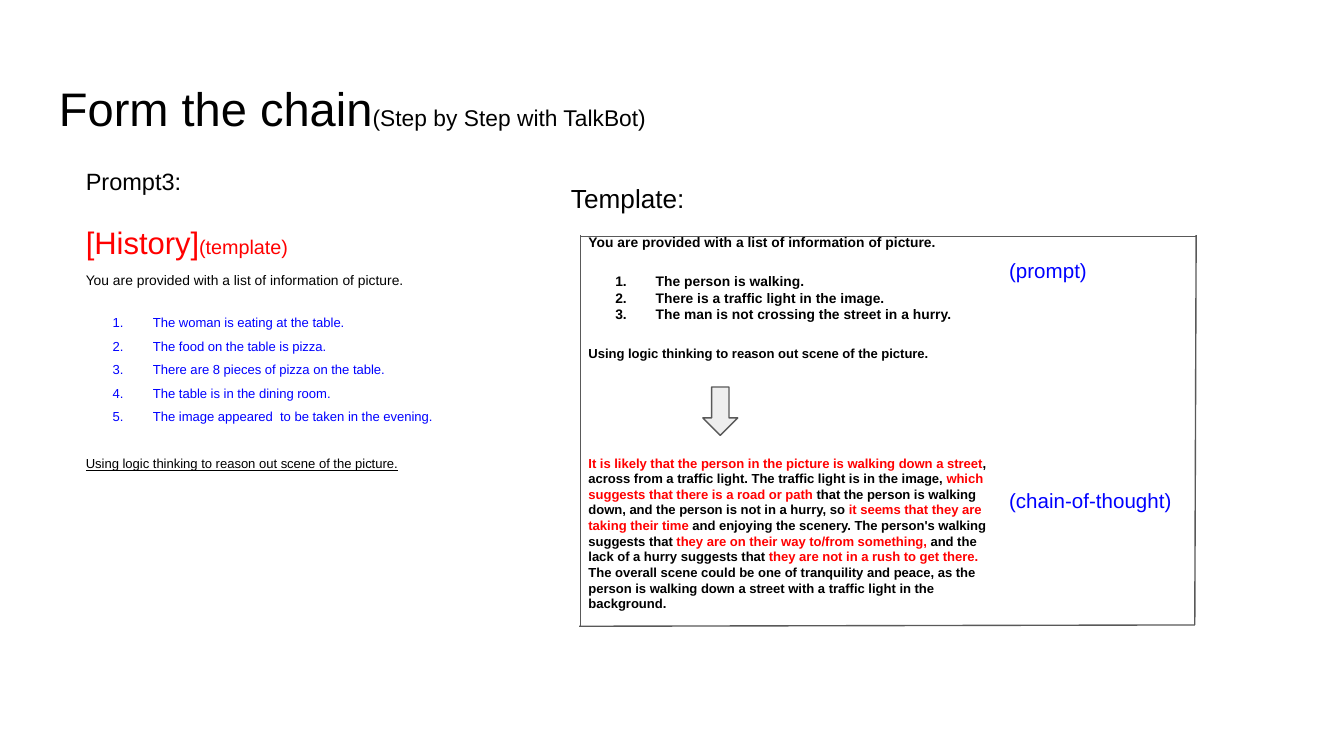
"""Build a slide that pairs a reasoning prompt with its template."""
import pptx
import pptx.dml.color
import pptx.enum.shapes
import pptx.enum.text
import pptx.oxml.ns
import pptx.util
from lxml import etree
from pptx.util import Inches

BLACK = pptx.dml.color.RGBColor(0x00, 0x00, 0x00)
RED = pptx.dml.color.RGBColor(0xFF, 0x00, 0x00)
BLUE = pptx.dml.color.RGBColor(0x00, 0x00, 0xFF)
GREY = pptx.dml.color.RGBColor(0x59, 0x59, 0x59)
LIGHT_GREY = pptx.dml.color.RGBColor(0xEE, 0xEE, 0xEE)


def add_text_box(left, top, width, height, margin_top=0.1):
    frame = slide.shapes.add_textbox(
        Inches(left), Inches(top), Inches(width), Inches(height)
    ).text_frame
    frame.word_wrap = True
    frame.margin_left = frame.margin_right = frame.margin_bottom = Inches(0.1)
    frame.margin_top = Inches(margin_top)
    return frame


def add_paragraph(frame, runs, before=0, spacing=1.0, numbered=False, bold=False, underline=False):
    first = frame.paragraphs[0]
    paragraph = frame.add_paragraph() if first.runs else first
    paragraph.space_before = pptx.util.Pt(before)
    paragraph.line_spacing = spacing
    if numbered:
        properties = paragraph._p.get_or_add_pPr()
        properties.set("marL", str(Inches(0.5)))
        properties.set("indent", str(Inches(-0.3)))
        bullet_color = etree.SubElement(properties, pptx.oxml.ns.qn("a:buClr"))
        etree.SubElement(bullet_color, pptx.oxml.ns.qn("a:srgbClr"), val=str(runs[0][2]))
        etree.SubElement(properties, pptx.oxml.ns.qn("a:buAutoNum"), type="arabicPeriod")
    paragraph.font.name = "Arial"
    paragraph.font.bold = bold
    paragraph.font.underline = underline
    for text, size, color in runs:
        run = paragraph.add_run()
        run.text = text
        run.font.size = pptx.util.Pt(size)
        run.font.color.rgb = color


presentation = pptx.Presentation()
presentation.slide_width = Inches(10)
presentation.slide_height = Inches(10) * 9 // 16
slide = presentation.slides.add_slide(presentation.slide_layouts[6])

INTRODUCTION = "You are provided with a list of information of picture."
REQUEST = "Using logic thinking to reason out scene of the picture."

title = add_text_box(0.34, 0.49, 9.32, 0.63)
title.vertical_anchor = pptx.enum.text.MSO_ANCHOR.MIDDLE
add_paragraph(title, [("Form the chain", 25.2, BLACK), ("(Step by Step with TalkBot)", 12.2, BLACK)])

prompt = add_text_box(0.54, 1.11, 3.64, 3.74)
add_paragraph(prompt, [("Prompt3:", 12.6, BLACK)], spacing=1.15)
add_paragraph(prompt, [("[History]", 16.6, RED), ("(template)", 10.6, RED)], before=12.5, spacing=1.15)
add_paragraph(prompt, [(INTRODUCTION, 7.4, BLACK)], before=5.5)
prompt_facts = [
    "The woman is eating at the table.",
    "The food on the table is pizza.",
    "There are 8 pieces of pizza on the table.",
    "The table is in the dining room.",
    "The image appeared  to be taken in the evening.",
]
for index, fact in enumerate(prompt_facts):
    add_paragraph(prompt, [(fact, 7, BLUE)], before=0 if index else 10, spacing=1.5, numbered=True)
add_paragraph(prompt, [(REQUEST, 7, BLACK)], before=12.6, spacing=1.5, underline=True)

template = add_text_box(4.28, 1.2, 3.28, 4, margin_top=0.54)
add_paragraph(template, [(INTRODUCTION, 7.4, BLACK)], bold=True)
template_facts = [
    "The person is walking.",
    "There is a traffic light in the image.",
    "The man is not crossing the street in a hurry.",
]
for index, fact in enumerate(template_facts):
    add_paragraph(template, [(fact, 7.4, BLACK)], before=0 if index else 12, numbered=True, bold=True)
add_paragraph(template, [(REQUEST, 7, BLACK)], before=12.4, bold=True)
thought = [
    ("It is likely that the person in the picture is walking down a street", RED),
    (", across from a traffic light. The traffic light is in the image, ", BLACK),
    ("which suggests that there is a road or path ", RED),
    ("that the person is walking down, and the person is not in a hurry, so ", BLACK),
    ("it seems that they are taking their time", RED),
    (" and enjoying the scenery. The person's walking suggests that", BLACK),
    (" they are on their way to/from something,", RED),
    (" and the lack of a hurry suggests that ", BLACK),
    ("they are not in a rush to get there.", RED),
    (" The overall scene could be one of tranquility and peace, as the person is walking"
     " down a street with a traffic light in the background.", BLACK),
]
add_paragraph(template, [(text, 7, color) for text, color in thought], before=50.2, bold=True)

arrow = slide.shapes.add_shape(
    pptx.enum.shapes.MSO_SHAPE.DOWN_ARROW, Inches(5.23), Inches(2.88), Inches(0.26), Inches(0.36)
)
arrow.shadow.inherit = False
arrow.fill.solid()
arrow.fill.fore_color.rgb = LIGHT_GREY
arrow.line.color.rgb = GREY
arrow.line.width = pptx.util.Pt(0.75)

labels = add_text_box(7.41, 1.81, 1.69, 2.58, margin_top=0.11)
add_paragraph(labels, [("(prompt)", 11, BLUE)])
add_paragraph(labels, [("(chain-of-thought)", 11, BLUE)], before=110)

frame_edges = [
    (4.32, 1.75, 4.32, 4.66),
    (4.32, 1.76, 8.9, 1.76),
    (4.31, 4.66, 8.89, 4.65),
    (8.89, 4.65, 8.9, 1.75),
]
for edge in frame_edges:
    connector = slide.shapes.add_connector(
        pptx.enum.shapes.MSO_CONNECTOR.STRAIGHT, *[Inches(value) for value in edge]
    )
    connector.line.color.rgb = GREY
    connector.line.width = pptx.util.Pt(0.75)
    etree.SubElement(connector._element.spPr, pptx.oxml.ns.qn("a:effectLst"))

add_paragraph(add_text_box(4.15, 1.26, 1.89, 0.44), [("Template:", 14, BLACK)])

presentation.save("out.pptx")
